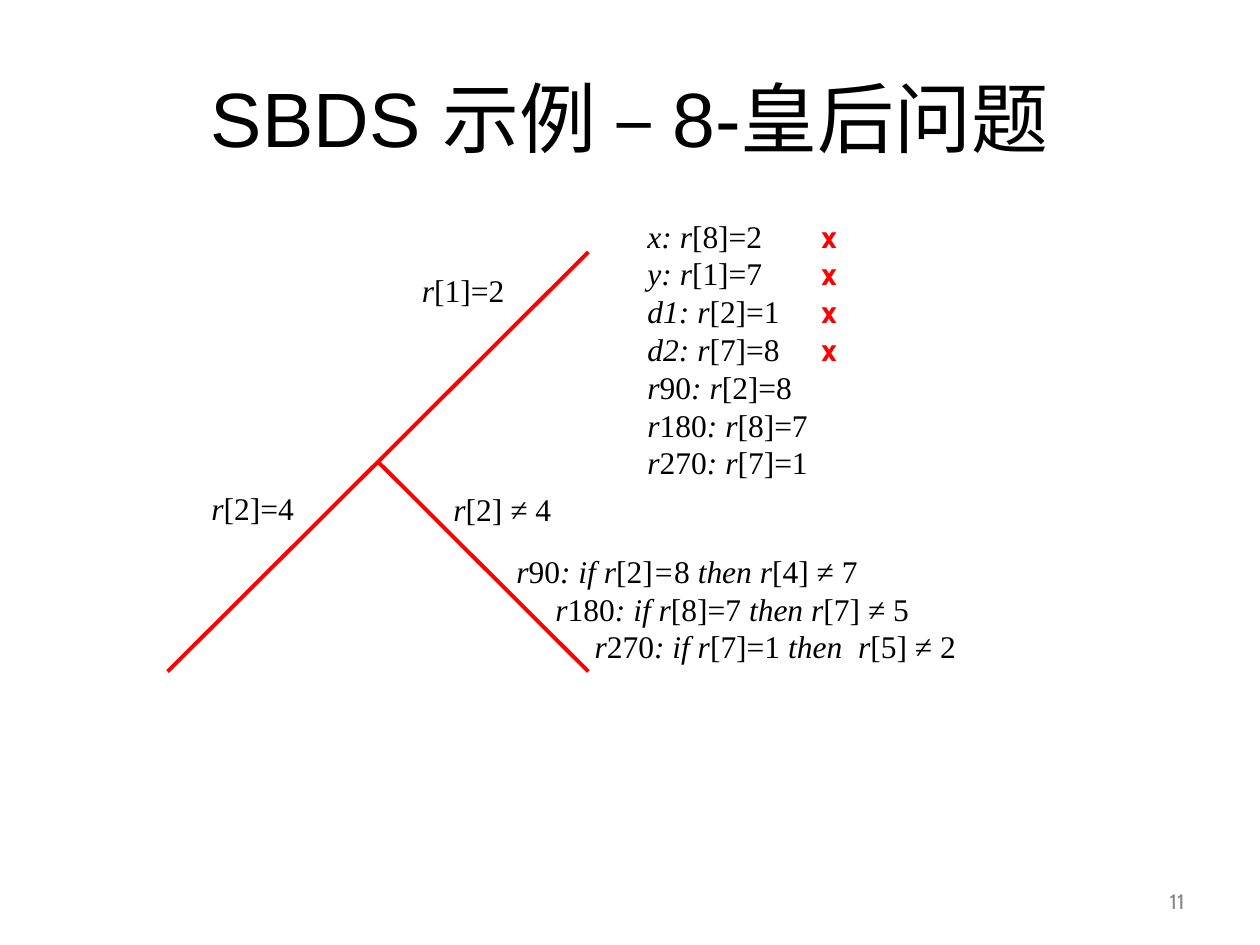
from lxml import etree
from pptx import Presentation
from pptx.dml.color import RGBColor
from pptx.enum.shapes import MSO_CONNECTOR
from pptx.enum.text import MSO_ANCHOR, PP_ALIGN
from pptx.oxml.ns import qn
from pptx.util import Inches, Pt

STRAIGHT = MSO_CONNECTOR.STRAIGHT
MIDDLE = MSO_ANCHOR.MIDDLE
LEFT, CENTER, RIGHT = PP_ALIGN.LEFT, PP_ALIGN.CENTER, PP_ALIGN.RIGHT
BLACK, RED, GREY = "000000", "FF0000", "898989"
SERIF, SANS = "Times New Roman", "Cabin"
LINE_HEIGHT = 0.3
SYMMETRIES = [
    "*x: r*[8]=2",
    "*y: r*[1]=7",
    "*d1: r*[2]=1",
    "*d2: r*[7]=8",
    "*r*90*: r*[2]=8",
    "*r*180*: r*[8]=7",
    "*r*270*: r*[7]=1",
]
CONDITIONS = [
    "*r*90*: if r*[2]*=*8* then r*[4] ≠ 7",
    "*r*180*: if r*[8]=7* then r*[7] ≠ 5",
    "*r*270*: if r*[7]=1* then  r*[5] ≠ 2",
]


def color(value):
    """Turn a hex string into a colour."""
    return RGBColor.from_string(value)


def add_run(p, text, size, font, fill, bold=False, italic=False):
    """Add one formatted run to a paragraph."""
    r = p.add_run()
    r.text = text
    r.font.size = Pt(size)
    r.font.name = font
    r.font.color.rgb = color(fill)
    r.font.bold = bold
    r.font.italic = italic


def add_text(s, box, lines, size=18, font=SERIF, fill=BLACK, bold=False,
             align=LEFT, indent=0):
    """Write lines in a box; asterisks enclose italics, indent grows by line."""
    tf = s.shapes.add_textbox(*map(Inches, box)).text_frame
    tf.word_wrap = True
    for i, line in enumerate(lines):
        p = tf.paragraphs[0] if i == 0 else tf.add_paragraph()
        p.alignment = align
        p.line_spacing = Inches(LINE_HEIGHT)
        if indent:
            p._p.get_or_add_pPr().set("marL", str(Inches(i * indent)))
        for j, part in enumerate(line.split("*")):
            if part:
                add_run(p, part, size, font, fill, bold, j % 2 == 1)
    return tf


def add_branch(s, start, end):
    """Draw one red branch of the search tree."""
    line = s.shapes.add_connector(STRAIGHT, *map(Inches, start + end))
    line.line.color.rgb = color(RED)
    line.line.width = Pt(2.25)
    etree.SubElement(line._element.spPr, qn("a:effectLst"))


def add_title(s, box, text):
    """Place and format the title placeholder."""
    title = s.shapes.title
    title.left, title.top, title.width, title.height = map(Inches, box)
    tf = title.text_frame
    tf.vertical_anchor = MIDDLE
    p = tf.paragraphs[0]
    p.alignment = CENTER
    add_run(p, text, 44, "Arial", BLACK)


def add_tree(s, box):
    """Draw the search tree with its branch labels."""
    x, y, w, h = box
    node = (x + w / 2, y + h / 2)
    for end in [(x + w, y), (x + w, y + h), (x, y + h)]:
        add_branch(s, node, end)
    labels = [
        (1.92, 0.1, "*r*[1]=2"),
        (0.25, 1.83, "*r*[2]=4"),
        (2.17, 1.84, "*r*[2] *≠ *4"),
    ]
    for dx, dy, text in labels:
        add_text(s, (x + dx, y + dy, 1.1, 0.4), [text])


def add_symmetries(s, box):
    """List the symmetric assignments and cross out the broken ones."""
    x, y, w, h = box
    add_text(s, box, SYMMETRIES)
    add_text(s, (x + 1.38, y, 0.4, 1.3), ["x"] * 4, font=SANS, fill=RED,
             bold=True)


def add_slide_number(s, box, number):
    """Write the slide number at the lower right."""
    tf = add_text(s, box, [number], 12, SANS, GREY, align=RIGHT)
    tf.vertical_anchor = MIDDLE
    tf.paragraphs[0].line_spacing = 1.0


def main():
    """Build the slide and save it."""
    prs = Presentation()
    prs.slide_width, prs.slide_height = Inches(10), Inches(7.5)
    s = prs.slides.add_slide(prs.slide_layouts[5])
    add_title(s, (0.5, 0.3, 9, 1.25), "SBDS 示例 – 8-皇后问题")
    add_tree(s, (1.33, 2, 3.34, 3.33))
    add_symmetries(s, (5.04, 1.67, 1.75, 2.2))
    add_text(s, (4, 4.33, 4.42, 1), CONDITIONS, indent=0.31)
    add_slide_number(s, (7.17, 6.95, 2.33, 0.4), "11")
    prs.save("out.pptx")


if __name__ == "__main__":
    main()
